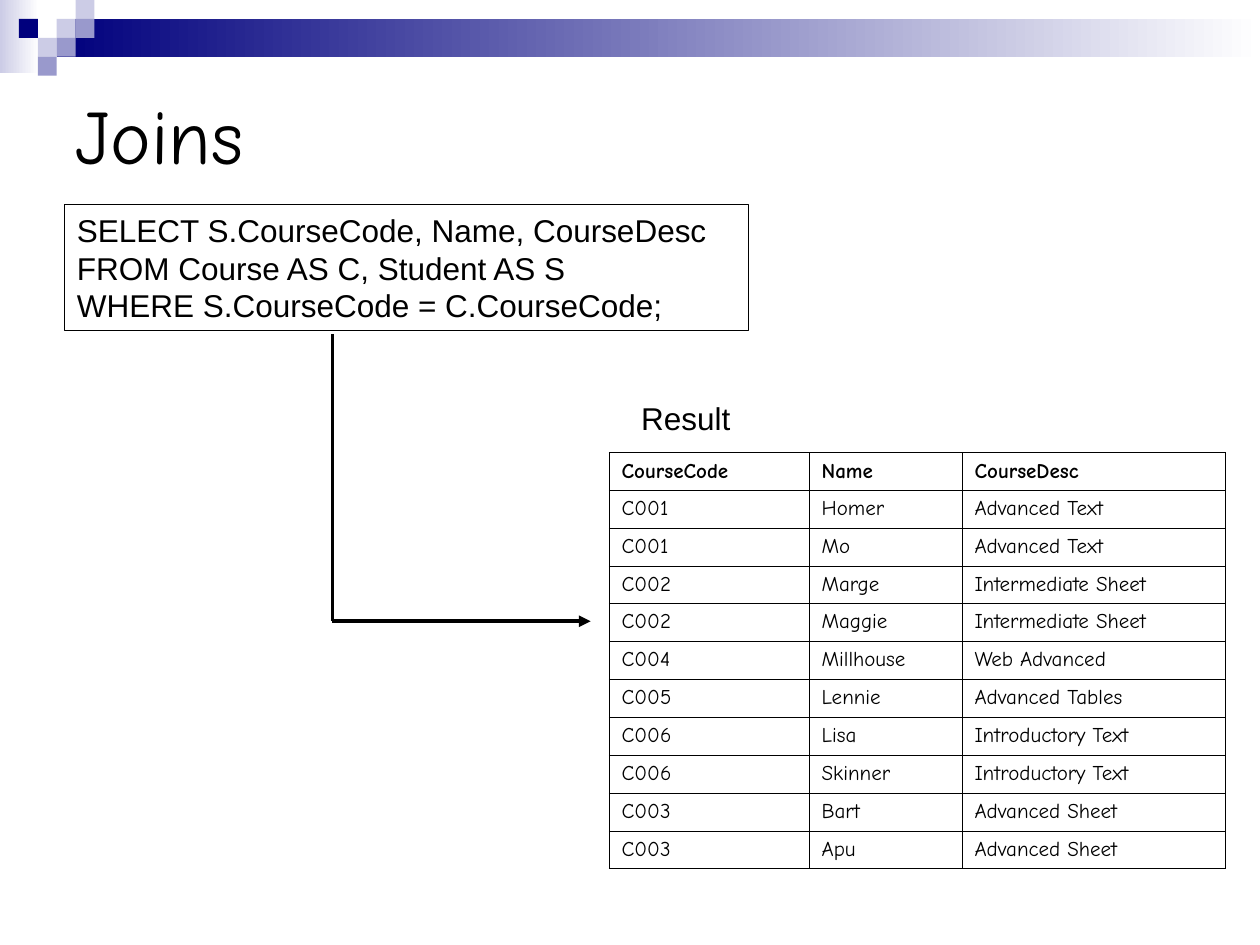
from lxml.etree import SubElement
from pptx import Presentation
from pptx.dml.color import RGBColor
from pptx.enum.shapes import MSO_CONNECTOR as Connector, MSO_SHAPE as Shape
from pptx.enum.text import MSO_ANCHOR as Anchor, MSO_AUTO_SIZE as AutoSize, PP_ALIGN as Align
from pptx.oxml.ns import qn
from pptx.util import Pt

BLACK, WHITE = "000000", "FFFFFF"
NAVY, LAVENDER, PERIWINKLE = "00007D", "CCCCE6", "9999CC"
BODY = {"name": "Arial", "size": Pt(18), "bold": False}
TITLE = {"name": "Comic Neue", "size": Pt(44), "bold": False}
CELL = {"name": "Comic Neue", "size": Pt(12), "bold": False}
HEADER = {**CELL, "bold": True}

SQUARE = 10.8
# column, row and colour of each corner square
SQUARES = [
    (3, 1, LAVENDER), (4, 0, LAVENDER), (4, 1, PERIWINKLE), (2, 2, LAVENDER),
    (1, 1, NAVY), (3, 2, PERIWINKLE), (2, 3, PERIWINKLE),
]
QUERY = [
    "SELECT S.CourseCode, Name, CourseDesc",
    "FROM Course AS C, Student AS S",
    "WHERE S.CourseCode = C.CourseCode;",
]
COLUMN_WIDTHS = [114.3, 87.4, 150.4]
ROW_HEIGHT = 21.6
RESULT_ROWS = [
    ("CourseCode", "Name", "CourseDesc"),
    ("C001", "Homer", "Advanced Text"),
    ("C001", "Mo", "Advanced Text"),
    ("C002", "Marge", "Intermediate Sheet"),
    ("C002", "Maggie", "Intermediate Sheet"),
    ("C004", "Millhouse", "Web Advanced"),
    ("C005", "Lennie", "Advanced Tables"),
    ("C006", "Lisa", "Introductory Text"),
    ("C006", "Skinner", "Introductory Text"),
    ("C003", "Bart", "Advanced Sheet"),
    ("C003", "Apu", "Advanced Sheet"),
]


def color(value):
    return RGBColor.from_string(value)


def set_text(text_frame, lines, font_format):
    text_frame.text = "\n".join(lines)
    for paragraph in text_frame.paragraphs:
        paragraph.alignment = Align.LEFT
        for name, value in font_format.items():
            setattr(paragraph.font, name, value)
        paragraph.font.color.rgb = color(BLACK)


def add_rectangle(slide, left, top, width, height):
    shape = slide.shapes.add_shape(
        Shape.RECTANGLE, Pt(left), Pt(top), Pt(width), Pt(height))
    shape.shadow.inherit = False
    shape.line.fill.background()
    return shape


def add_gradient_bar(slide, left, top, width, height, start):
    """Add a bar that fades from the start colour to white, left to right."""
    fill = add_rectangle(slide, left, top, width, height).fill
    fill.gradient()
    fill.gradient_angle = 0
    for stop, value in zip(fill.gradient_stops, (start, WHITE)):
        stop.color.rgb = color(value)


def add_corner_decoration(slide):
    add_gradient_bar(slide, 0, 0, 22.3, 41.8, LAVENDER)
    add_gradient_bar(slide, 3 * SQUARE, SQUARE, 687.6, 2 * SQUARE, NAVY)
    for column, row, value in SQUARES:
        square = add_rectangle(slide, column * SQUARE, row * SQUARE, SQUARE, SQUARE)
        square.fill.solid()
        square.fill.fore_color.rgb = color(value)


def place_title(slide, text):
    title = slide.shapes.title
    title.left, title.top, title.width, title.height = Pt(36), Pt(36), Pt(648), Pt(81)
    title.text_frame.auto_size = AutoSize.NONE
    title.text_frame.vertical_anchor = Anchor.MIDDLE
    set_text(title.text_frame, [text], TITLE)
    title.element.getparent().append(title.element)  # in front of the decoration


def add_query_box(slide):
    box = add_rectangle(slide, 36.9, 116.9, 390.8, 72)
    box.fill.background()
    box.line.color.rgb = color(BLACK)
    box.line.width = Pt(0.75)
    box.text_frame.word_wrap = True
    box.text_frame.vertical_anchor = Anchor.TOP
    set_text(box.text_frame, QUERY, BODY)


def add_label(slide, text, left, top, width, height):
    label = slide.shapes.add_textbox(Pt(left), Pt(top), Pt(width), Pt(height))
    label.text_frame.word_wrap = True
    set_text(label.text_frame, [text], BODY)


def add_line(slide, start, end, arrow=False):
    line = slide.shapes.add_connector(
        Connector.STRAIGHT, *(Pt(value) for value in (*start, *end)))
    line.line.color.rgb = color(BLACK)
    line.line.width = Pt(2.25)
    if arrow:
        SubElement(line.line._get_or_add_ln(), qn("a:tailEnd"), type="triangle")
    SubElement(line.element.spPr, qn("a:effectLst"))


def add_borders(cell):
    properties = cell._tc.get_or_add_tcPr()
    for side in ("a:lnL", "a:lnR", "a:lnT", "a:lnB"):
        border = SubElement(properties, qn(side), w=str(Pt(0.34)))
        fill = SubElement(border, qn("a:solidFill"))
        SubElement(fill, qn("a:srgbClr"), val=BLACK)


def add_result_table(slide, left, top):
    table = slide.shapes.add_table(
        len(RESULT_ROWS), len(COLUMN_WIDTHS), Pt(left), Pt(top),
        Pt(sum(COLUMN_WIDTHS)), Pt(ROW_HEIGHT * len(RESULT_ROWS))).table
    table.horz_banding = False
    for column, width in zip(table.columns, COLUMN_WIDTHS):
        column.width = Pt(width)
    for row_index, values in enumerate(RESULT_ROWS):
        is_header = row_index == 0
        table.rows[row_index].height = Pt(ROW_HEIGHT)
        for cell, text in zip(table.rows[row_index].cells, values):
            set_text(cell.text_frame, [text], HEADER if is_header else CELL)
            cell.vertical_anchor = Anchor.MIDDLE if is_header else Anchor.TOP
            add_borders(cell)
            if is_header:
                cell.fill.background()
            else:
                cell.fill.solid()
                cell.fill.fore_color.rgb = color(WHITE)


def main():
    presentation = Presentation()
    presentation.slide_width, presentation.slide_height = Pt(720), Pt(540)
    slide = presentation.slides.add_slide(presentation.slide_layouts[5])
    add_corner_decoration(slide)
    place_title(slide, "Joins")
    add_query_box(slide)
    corner = (190, 355)
    add_line(slide, corner, (337.5, 355), arrow=True)
    add_label(slide, "Result", 359.3, 224.6, 152.6, 28.8)
    add_result_table(slide, 348, 258.5)
    add_line(slide, (190, 190.8), corner)
    presentation.save("out.pptx")


if __name__ == "__main__":
    main()
